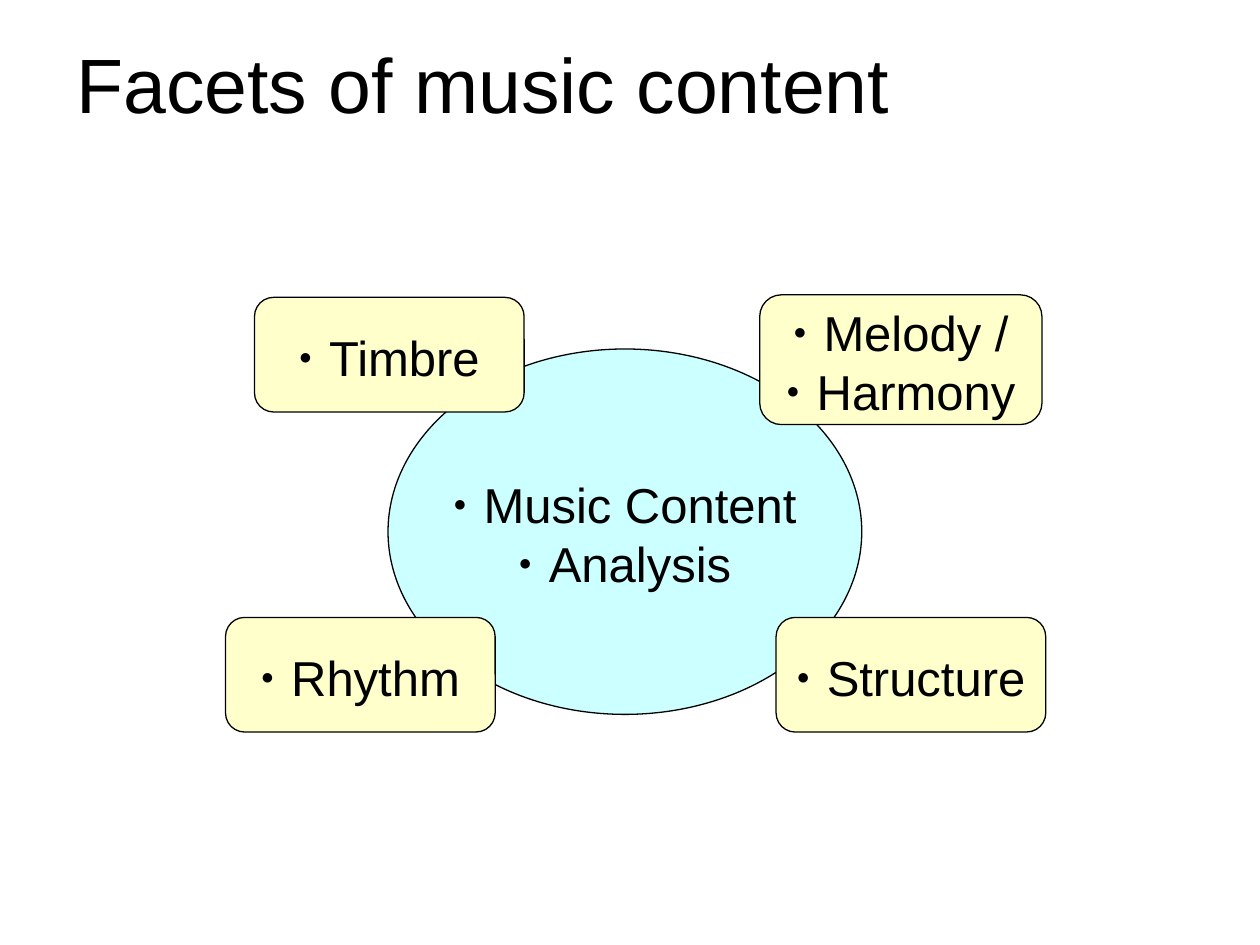
"""Build the slide on the facets of music content."""
from lxml import etree
from pptx import Presentation
from pptx.dml.color import RGBColor
from pptx.enum import shapes, text
from pptx.oxml.ns import qn
from pptx.util import Inches, Pt

COLORS = {"ink": "000000", "hub": "CCFFFF", "facet": "FFFFCC"}


def write_text(frame, words, size):
    frame.text = words
    frame.vertical_anchor = text.MSO_ANCHOR.MIDDLE
    frame.margin_left = frame.margin_right = Inches(0.1)
    frame.margin_top, frame.margin_bottom = Inches(0.08), Inches(0.05)
    for para in frame.paragraphs:
        for span in para.runs:
            span.font.name = "Arial"
            span.font.size = Pt(size)
            span.font.color.rgb = RGBColor.from_string(COLORS["ink"])


def add_bullet(para):
    para.alignment = text.PP_ALIGN.CENTER
    props = para._p.get_or_add_pPr()
    props.set("marL", str(Inches(0.24)))
    props.set("indent", str(Inches(-0.24)))
    color = etree.SubElement(props, qn("a:buClr"))
    etree.SubElement(color, qn("a:srgbClr"), val=COLORS["ink"])
    etree.SubElement(props, qn("a:buSzPct"), val="45000")
    etree.SubElement(props, qn("a:buFont"), typeface="Arial")
    etree.SubElement(props, qn("a:buChar"), char="●")


deck = Presentation()
deck.slide_width, deck.slide_height = Inches(10), Inches(7.5)
page = deck.slides.add_slide(deck.slide_layouts[6])

OVAL = shapes.MSO_SHAPE.OVAL
ROUNDED = shapes.MSO_SHAPE.ROUNDED_RECTANGLE
bubbles = [
    (OVAL, "hub", "Music Content\nAnalysis", 3.08, 2.77, 3.76, 2.9),
    (ROUNDED, "facet", "Timbre", 2.02, 2.36, 2.14, 0.91),
    (ROUNDED, "facet", "Rhythm", 1.79, 4.9, 2.14, 0.91),
    (ROUNDED, "facet", "Melody /\nHarmony", 6.03, 2.34, 2.24, 1.03),
    (ROUNDED, "facet", "Structure", 6.16, 4.9, 2.14, 0.91),
]
for kind, color, words, *place in bubbles:
    bubble = page.shapes.add_shape(kind, *map(Inches, place))
    bubble.shadow.inherit = False
    bubble.fill.solid()
    bubble.fill.fore_color.rgb = RGBColor.from_string(COLORS[color])
    bubble.line.color.rgb = RGBColor.from_string(COLORS["ink"])
    bubble.line.width = Pt(0.75)
    write_text(bubble.text_frame, words, 28)
    bubble.text_frame.word_wrap = False
    for para in bubble.text_frame.paragraphs:
        add_bullet(para)

title = page.shapes.add_textbox(Inches(0.51), Inches(0.09), Inches(9.06), Inches(1.1))
write_text(title.text_frame, "Facets of music content", 44)
title.text_frame.word_wrap = True

deck.save("out.pptx")
